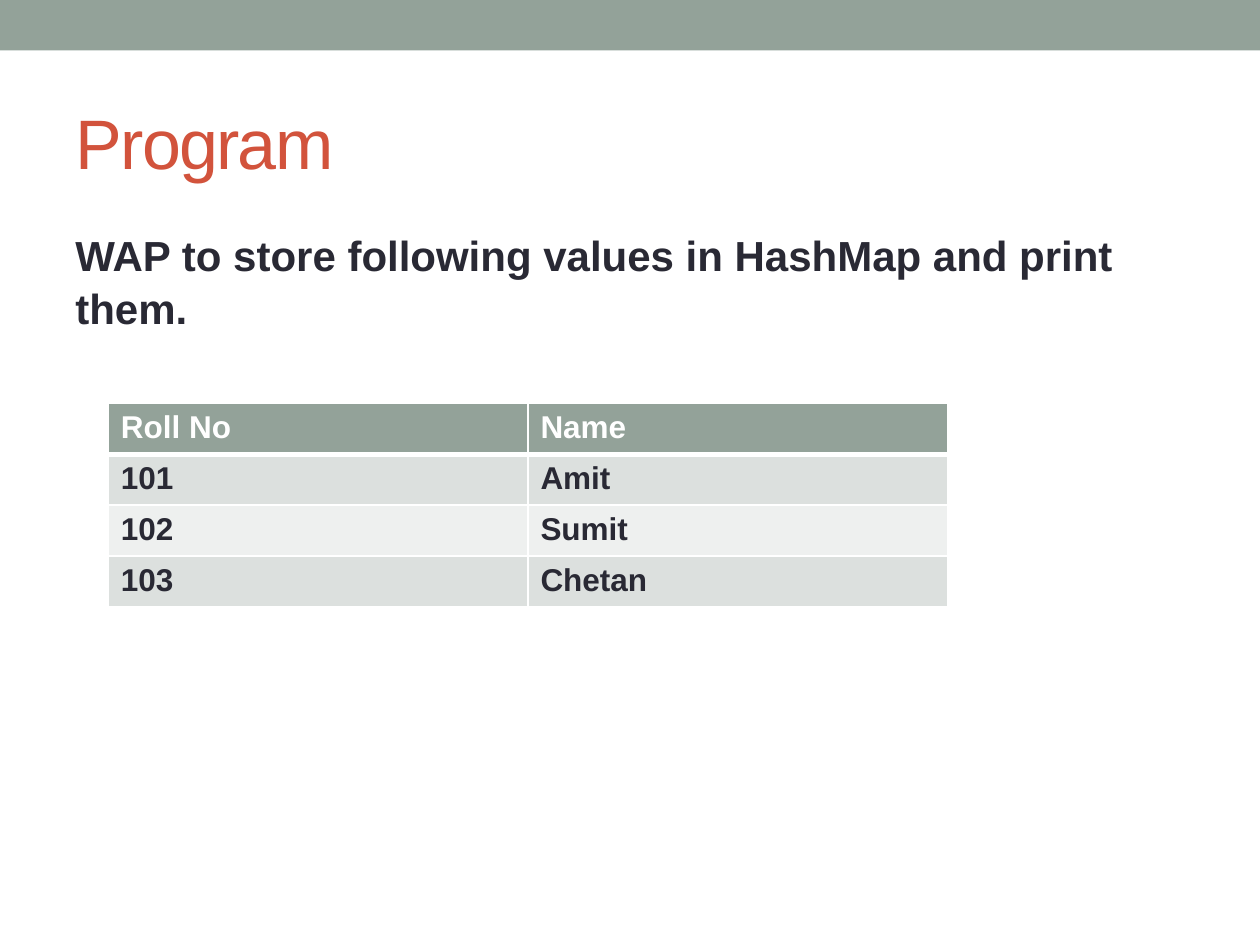
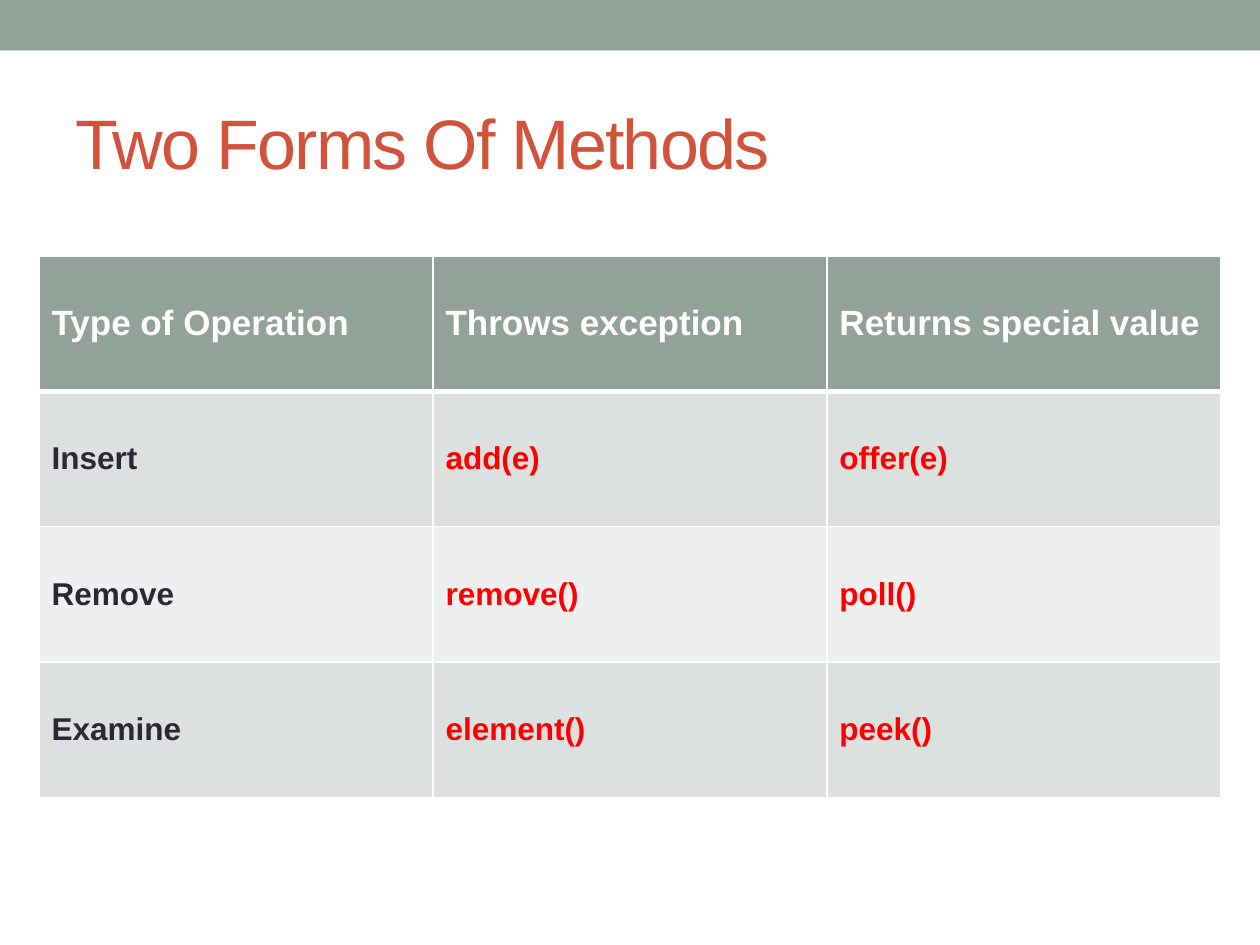
from dataclasses import dataclass

import pptx
import pptx.dml.color
import pptx.enum.shapes
import pptx.enum.text
import pptx.oxml
import pptx.oxml.ns
import pptx.presentation
import pptx.slide
import pptx.table
import pptx.util

Inches = pptx.util.Inches
Pt = pptx.util.Pt
RGBColor = pptx.dml.color.RGBColor
Anchor = pptx.enum.text.MSO_ANCHOR
Align = pptx.enum.text.PP_ALIGN

# Shared look
FONT = "Arial"
SAGE = RGBColor(0x93, 0xA2, 0x99)
RUST = RGBColor(0xD2, 0x53, 0x3C)
INK = RGBColor(0x29, 0x29, 0x34)
RED = RGBColor(0xFF, 0x00, 0x00)
WHITE = RGBColor(0xFF, 0xFF, 0xFF)
BANDS = (RGBColor(0xEE, 0xF0, 0xEF), RGBColor(0xDC, 0xE0, 0xDE))
TITLE_ONLY = 5


@dataclass
class Grid:
    left: float
    top: float
    width: float
    height: float
    rows: list[tuple[str, ...]]
    head_size: int = 18
    anchor: Anchor = Anchor.TOP
    method_color: RGBColor = INK


ROLLS = Grid(0.86, 3.2, 6.66, 1.62, [
    ("Roll No", "Name"),
    ("101", "Amit"),
    ("102", "Sumit"),
    ("103", "Chetan"),
])

FORMS = Grid(0.31, 2.03, 9.38, 4.3, [
    ("Type of Operation", "Throws exception", "Returns special value"),
    ("Insert", "add(e)", "offer(e)"),
    ("Remove", "remove()", "poll()"),
    ("Examine", "element()", "peek()"),
], head_size=20, anchor=Anchor.MIDDLE, method_color=RED)


def style(para, size: int, color: RGBColor, bold: bool = False) -> None:
    font = para.font
    font.name = FONT
    font.size = Pt(size)
    font.bold = bold
    font.color.rgb = color


def add_page(deck: pptx.presentation.Presentation, title: str) -> pptx.slide.Slide:
    page = deck.slides.add_slide(deck.slide_layouts[TITLE_ONLY])

    # Top band
    band = page.shapes.add_shape(
        pptx.enum.shapes.MSO_SHAPE.RECTANGLE, 0, 0, deck.slide_width, Inches(0.4))
    band.shadow.inherit = False
    band.fill.solid()
    band.fill.fore_color.rgb = SAGE
    band.line.fill.background()

    # Title
    head = page.shapes.title
    head.left, head.top = Inches(0.5), Inches(0.58)
    head.width, head.height = Inches(9), Inches(1.08)
    head.text_frame.text = title
    head.text_frame.vertical_anchor = Anchor.MIDDLE
    para = head.text_frame.paragraphs[0]
    para.alignment = Align.LEFT
    style(para, 40, RUST)
    para.runs[0].font._element.set("spc", "-100")
    return page


def add_task(page: pptx.slide.Slide, text: str) -> None:
    box = page.shapes.add_textbox(Inches(0.5), Inches(1.75), Inches(9), Inches(5.33))
    box.text_frame.word_wrap = True
    para = box.text_frame.paragraphs[0]
    para.text = text
    para.line_spacing = 1.05
    style(para, 24, INK, bold=True)


def set_edges(cell: pptx.table._Cell, row: int) -> None:
    """White rules, with a heavy one under the header row."""
    props = cell._tc.get_or_add_tcPr()
    widths = {"L": 1, "R": 1, "T": 3 if row == 1 else 1, "B": 3 if row == 0 else 1}
    for index, (side, width) in enumerate(widths.items()):
        props.insert(index, pptx.oxml.parse_xml(
            f'<a:ln{side} {pptx.oxml.ns.nsdecls("a")} w="{Pt(width)}">'
            f'<a:solidFill><a:srgbClr val="{WHITE}"/></a:solidFill></a:ln{side}>'))


def add_grid(page: pptx.slide.Slide, grid: Grid) -> None:
    count = len(grid.rows[0])
    table = page.shapes.add_table(
        len(grid.rows), count, Inches(grid.left), Inches(grid.top),
        Inches(grid.width), Inches(grid.height)).table
    table.horz_banding = False
    for row, texts in enumerate(grid.rows):
        for col, text in enumerate(texts):
            cell = table.cell(row, col)
            cell.text = text
            cell.vertical_anchor = grid.anchor
            cell.fill.solid()
            cell.fill.fore_color.rgb = BANDS[row % 2] if row else SAGE
            set_edges(cell, row)
            if row == 0:
                size, color = grid.head_size, WHITE
            else:
                size, color = 18, grid.method_color if col else INK
            style(cell.text_frame.paragraphs[0], size, color, bold=True)


def main() -> None:
    deck = pptx.Presentation()
    deck.slide_width, deck.slide_height = Inches(10), Inches(7.5)

    # Exercise
    page = add_page(deck, "Program")
    add_task(page, "WAP to store following values in HashMap and print them.")
    add_grid(page, ROLLS)

    # Queue methods
    page = add_page(deck, "Two Forms Of Methods")
    add_grid(page, FORMS)

    deck.save("out.pptx")


if __name__ == "__main__":
    main()
